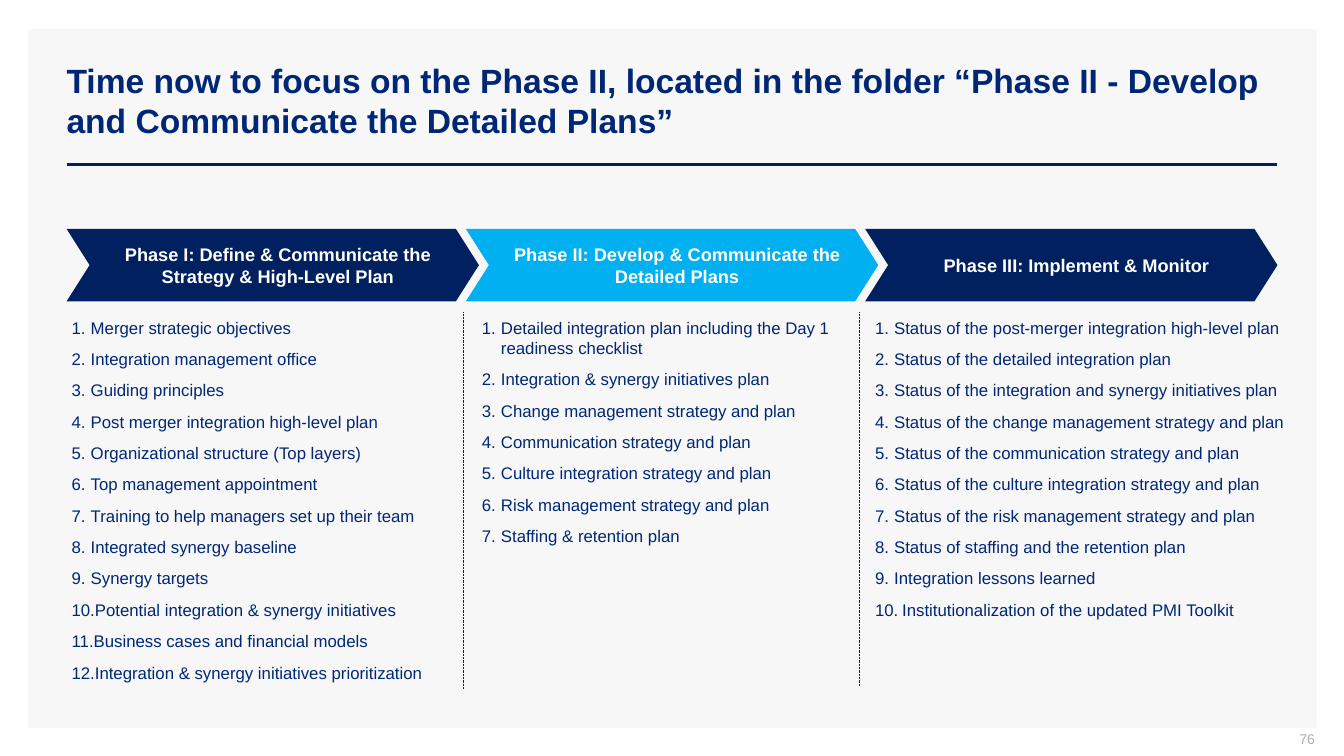
from lxml import etree
from pptx import Presentation
from pptx.dml.color import RGBColor
from pptx.enum.dml import MSO_LINE
from pptx.enum.shapes import MSO_CONNECTOR, MSO_SHAPE
from pptx.enum.text import MSO_ANCHOR, PP_ALIGN
from pptx.oxml.ns import qn
from pptx.util import Inches, Pt

TITLE = ("Time now to focus on the Phase II, located in the folder "
         "“Phase II - Develop and Communicate the Detailed Plans”")
PAGE_NUMBER = "76"

NAVY = RGBColor(0x00, 0x20, 0x60)
INK = RGBColor(0x00, 0x27, 0x76)
SKY = RGBColor(0x00, 0xB0, 0xF0)
PANEL = RGBColor(0xF7, 0xF7, 0xF7)
GREY = RGBColor(0xAD, 0xAF, 0xBB)
WHITE = RGBColor(0xFF, 0xFF, 0xFF)

RECT, CHEVRON = MSO_SHAPE.RECTANGLE, MSO_SHAPE.CHEVRON
STRAIGHT = MSO_CONNECTOR.STRAIGHT
SYS_DOT = MSO_LINE.ROUND_DOT
MIDDLE, TOP = MSO_ANCHOR.MIDDLE, MSO_ANCHOR.TOP
LEFT, CENTER, RIGHT = PP_ALIGN.LEFT, PP_ALIGN.CENTER, PP_ALIGN.RIGHT

PHASES = [
    dict(name="Phase I: Define & Communicate the Strategy & High-Level Plan",
         fill=NAVY, left=0.71, width=3.89, inset=0, long_hang=0.19,
         items=["Merger strategic objectives",
                "Integration management office",
                "Guiding principles",
                "Post merger integration high-level plan",
                "Organizational structure (Top layers)",
                "Top management appointment",
                "Training to help managers set up their team",
                "Integrated synergy baseline",
                "Synergy targets",
                "Potential integration & synergy initiatives",
                "Business cases and financial models",
                "Integration & synergy initiatives prioritization"]),
    dict(name="Phase II: Develop & Communicate the Detailed Plans",
         fill=SKY, left=4.68, width=3.78, inset=0.1, long_hang=0.19,
         items=["Detailed integration plan including the Day 1 readiness checklist",
                "Integration & synergy initiatives plan",
                "Change management strategy and plan",
                "Communication strategy and plan",
                "Culture integration strategy and plan",
                "Risk management strategy and plan",
                "Staffing & retention plan"]),
    dict(name="Phase III: Implement & Monitor",
         fill=NAVY, left=8.58, width=4.32, inset=0.1, long_hang=0.27,
         items=["Status of the post-merger integration high-level plan",
                "Status of the detailed integration plan",
                "Status of the integration and synergy initiatives plan",
                "Status of the change management strategy and plan",
                "Status of the communication strategy and plan",
                "Status of the culture integration strategy and plan",
                "Status of the risk management strategy and plan",
                "Status of staffing and the retention plan",
                "Integration lessons learned",
                "Institutionalization of the updated PMI Toolkit"]),
]
DIVIDERS = [(4.6, 6.84), (8.52, 6.8)]

MARGIN, RIGHT_EDGE = 0.66, 12.67
CHEVRON_TOP, CHEVRON_W, CHEVRON_H, CHEVRON_STEP = 2.27, 4.09, 0.72, 3.96
LIST_TOP, ITEM_PITCH, HANG = 3.1, 0.31, 0.19


def style_run(p, size, color, bold=False):
    for r in p.runs:
        r.font.name = "Arial"
        r.font.size = Pt(size)
        r.font.bold = bold
        r.font.color.rgb = color


def set_frame(tf, anchor, left=0.1, top=0.05, right=0.1, bottom=0.05):
    tf.word_wrap = True
    tf.vertical_anchor = anchor
    tf.margin_left, tf.margin_top = Inches(left), Inches(top)
    tf.margin_right, tf.margin_bottom = Inches(right), Inches(bottom)


def add_filled(slide, kind, box, fill):
    sp = slide.shapes.add_shape(kind, *map(Inches, box))
    sp.shadow.inherit = False
    sp.fill.solid()
    sp.fill.fore_color.rgb = fill
    sp.line.fill.background()
    return sp


def add_line(slide, x1, y1, x2, y2, width, dash=None):
    line = slide.shapes.add_connector(STRAIGHT, *map(Inches, (x1, y1, x2, y2)))
    line.line.color.rgb = NAVY
    line.line.width = Pt(width)
    if dash:
        line.line.dash_style = dash
    etree.SubElement(line._element.spPr, qn("a:effectLst"))


def add_chevron(slide, index, phase):
    box = (MARGIN + index * CHEVRON_STEP, CHEVRON_TOP, CHEVRON_W, CHEVRON_H)
    sp = add_filled(slide, CHEVRON, box, phase["fill"])
    sp.adjustments[0] = 0.318
    set_frame(sp.text_frame, MIDDLE, right=0)
    p = sp.text_frame.paragraphs[0]
    p.text = phase["name"]
    p.alignment = CENTER
    style_run(p, 13, WHITE, True)


def add_numbered_list(slide, phase):
    items = phase["items"]
    box = (phase["left"], LIST_TOP, phase["width"], ITEM_PITCH * len(items))
    tf = slide.shapes.add_textbox(*map(Inches, box)).text_frame
    set_frame(tf, TOP, left=phase["inset"])
    for number, item in enumerate(items, 1):
        p = tf.paragraphs[0] if number == 1 else tf.add_paragraph()
        p.text = item
        hang = Inches(HANG if number < 10 else phase["long_hang"])
        pPr = p._p.get_or_add_pPr()
        pPr.set("marL", str(hang))
        pPr.set("indent", str(-hang))
        etree.SubElement(pPr, qn("a:buFont"), typeface="+mj-lt")
        etree.SubElement(pPr, qn("a:buAutoNum"), type="arabicPeriod")
        p.space_before = Pt(0 if number == 1 else 4)
        p.space_after = Pt(4)
        style_run(p, 12, INK)


def main():
    prs = Presentation()
    prs.slide_width, prs.slide_height = Inches(13.33), Inches(7.5)
    slide = prs.slides.add_slide(prs.slide_layouts[5])

    panel = add_filled(slide, RECT, (0.28, 0.29, 12.78, 6.93), PANEL)
    title = slide.shapes.title
    title._element.addprevious(panel._element)
    title.left, title.top = Inches(0.56), Inches(0.4)
    title.width, title.height = Inches(12.11), Inches(1.19)
    title.text_frame.text = TITLE
    set_frame(title.text_frame, MIDDLE)
    p = title.text_frame.paragraphs[0]
    p.alignment = LEFT
    style_run(p, 24, INK, True)
    add_line(slide, MARGIN, 1.63, RIGHT_EDGE, 1.63, 2)

    for index, phase in enumerate(PHASES):
        add_chevron(slide, index, phase)
        add_numbered_list(slide, phase)
    for x, bottom in DIVIDERS:
        add_line(slide, x, LIST_TOP, x, bottom, 0.5, SYS_DOT)

    tf = slide.shapes.add_textbox(*map(Inches, (10.04, 7.25, 3, 0.21))).text_frame
    set_frame(tf, MIDDLE, top=0, right=0)
    p = tf.paragraphs[0]
    p.text = PAGE_NUMBER
    p.alignment = RIGHT
    style_run(p, 10, GREY)

    prs.save("out.pptx")


if __name__ == "__main__":
    main()
